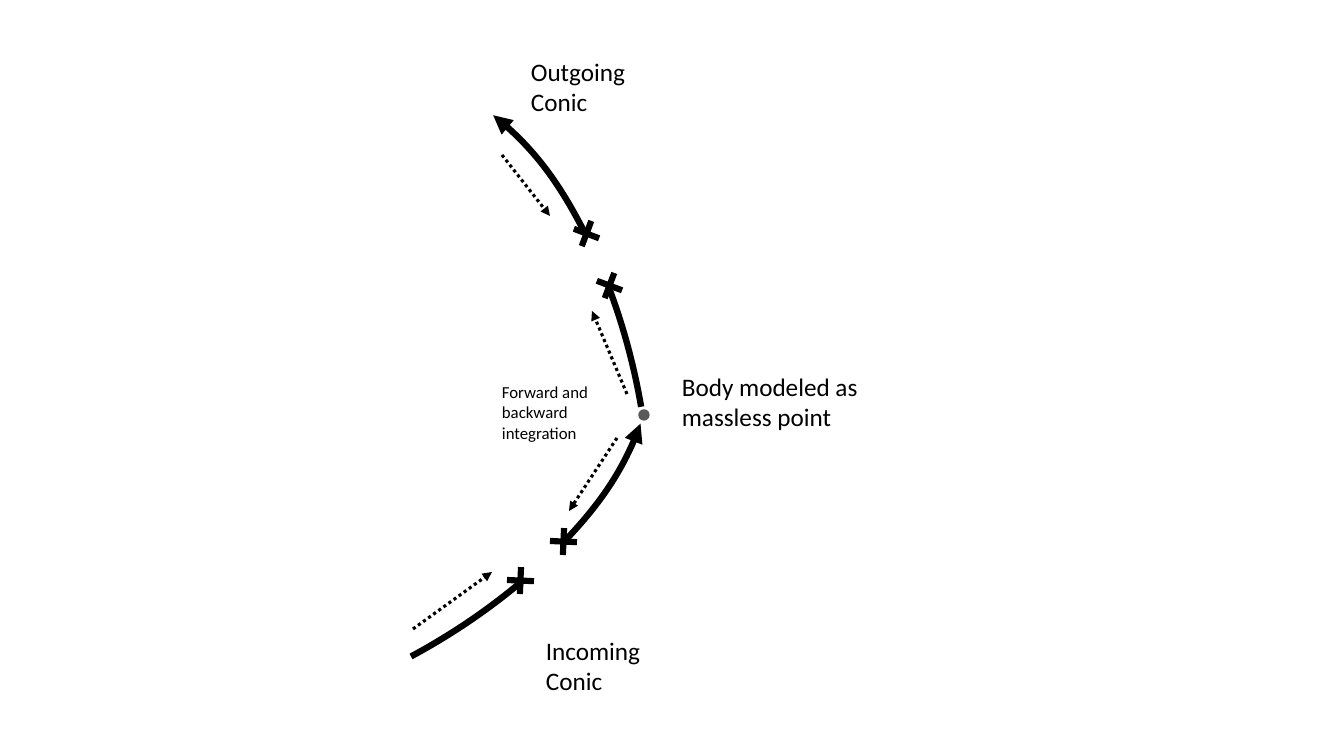
import dataclasses

import lxml.etree
import pptx
import pptx.dml.color
import pptx.enum.dml
import pptx.enum.shapes
import pptx.enum.text
import pptx.oxml.ns
import pptx.util

PX = 914400 / 100.8
KIND = pptx.enum.shapes.MSO_SHAPE


@dataclasses.dataclass(frozen=True)
class Theme:
    ink: str = "000000"
    paper: str = "FFFFFF"
    body: str = "595959"
    font: str = "Calibri"
    label_size: int = 18
    note_size: int = 12
    body_line: float = 1
    arrow_line: float = 2.25
    path_line: float = 4.5


@dataclasses.dataclass(frozen=True)
class Box:
    left: int
    top: int
    width: int
    height: int

    def inner(self, left, top, width, height):
        return Box(self.left + left, self.top + top, width, height)

    def emu(self):
        return [px(length) for length in dataclasses.astuple(self)]


@dataclasses.dataclass(frozen=True)
class Branch:
    curve_at: tuple
    curve_turn: float
    gap_at: tuple
    gap_turn: float
    marks_at: tuple
    marks_turn: float
    arrows: tuple


THEME = Theme()
CURVE_SIZE = (384, 721)
GAP_SIZE = (70, 62)
MARK_SIZE = (27, 27)

OUTGOING = Branch(
    curve_at=(-230, -31), curve_turn=350.2,
    gap_at=(70, 118), gap_turn=337.5,
    marks_at=((83, 110), (106, 162)), marks_turn=200.7,
    arrows=((12, 45, 60, 106), (137, 284, 102, 201)),
)
INCOMING = Branch(
    curve_at=(-282, -293), curve_turn=61.7,
    gap_at=(97, 107), gap_turn=49.3,
    marks_at=((140, 108), (97, 147)), marks_turn=272.5,
    arrows=((207, 18, 159, 91), (3, 209, 82, 152)),
)


def px(length):
    return pptx.util.Emu(round(length * PX))


def rgb(color):
    return pptx.dml.color.RGBColor.from_string(color)


def add_arrowhead(line, end):
    stroke = line._get_or_add_ln()
    lxml.etree.SubElement(stroke, pptx.oxml.ns.qn(f"a:{end}"), type="triangle")


def set_stroke(line, color, width):
    line.color.rgb = rgb(color)
    line.width = pptx.util.Pt(width)


def add_form(page, kind, box, fill=None, stroke=None, width=0, turn=0):
    form = page.shapes.add_shape(kind, *box.emu())
    form.shadow.inherit = False
    form.rotation = turn
    if fill:
        form.fill.solid()
        form.fill.fore_color.rgb = rgb(fill)
    else:
        form.fill.background()
    if stroke:
        set_stroke(form.line, stroke, width)
    else:
        form.line.fill.background()
    return form


def add_text(page, box, text, size=THEME.label_size, color=THEME.ink):
    label = page.shapes.add_textbox(*box.emu())
    frame = label.text_frame
    frame.word_wrap = True
    frame.auto_size = pptx.enum.text.MSO_AUTO_SIZE.SHAPE_TO_FIT_TEXT
    span = frame.paragraphs[0].add_run()
    span.text = text
    span.font.name = THEME.font
    span.font.size = pptx.util.Pt(size)
    span.font.color.rgb = rgb(color)


def add_integration_arrow(page, box, ends):
    start_x, start_y, end_x, end_y = ends
    arrow = page.shapes.add_connector(
        pptx.enum.shapes.MSO_CONNECTOR.STRAIGHT,
        px(box.left + start_x), px(box.top + start_y),
        px(box.left + end_x), px(box.top + end_y),
    )
    set_stroke(arrow.line, THEME.ink, THEME.arrow_line)
    arrow.line.dash_style = pptx.enum.dml.MSO_LINE.ROUND_DOT
    add_arrowhead(arrow.line, "tailEnd")
    lxml.etree.SubElement(arrow._element.spPr, pptx.oxml.ns.qn("a:effectLst"))


def draw_branch(page, box, branch):
    curve = add_form(page, KIND.ARC, box.inner(*branch.curve_at, *CURVE_SIZE),
                     stroke=THEME.ink, width=THEME.path_line, turn=branch.curve_turn)
    curve.adjustments[0] = 172.225
    curve.adjustments[1] = 0
    add_arrowhead(curve.line, "headEnd")
    add_form(page, KIND.RECTANGLE, box.inner(*branch.gap_at, *GAP_SIZE),
             fill=THEME.paper, turn=branch.gap_turn)
    for ends in branch.arrows:
        add_integration_arrow(page, box, ends)
    for place in branch.marks_at:
        mark = add_form(page, KIND.CROSS, box.inner(*place, *MARK_SIZE),
                        fill=THEME.ink, turn=branch.marks_turn)
        mark.adjustments[0] = 0.386


def draw_body(page, box):
    add_form(page, KIND.OVAL, box.inner(147, 44, 10, 10),
             fill=THEME.body, stroke=THEME.body, width=THEME.body_line)
    add_text(page, box.inner(180, 0, 235, 72), "Body modeled as massless point")
    add_text(page, box.inner(0, 11, 116, 72), "Forward and backward integration",
             size=THEME.note_size)


def main():
    deck = pptx.Presentation()
    deck.slide_width, deck.slide_height = px(1344), px(756)
    page = deck.slides.add_slide(deck.slide_layouts[6])
    draw_branch(page, Box(490, 110, 155, 300), OUTGOING)
    draw_branch(page, Box(410, 420, 235, 240), INCOMING)
    draw_body(page, Box(492, 366, 415, 83))
    add_text(page, Box(521, 51, 142, 72), "Outgoing Conic")
    add_text(page, Box(536, 630, 142, 72), "Incoming Conic")
    deck.save("out.pptx")


if __name__ == "__main__":
    main()
